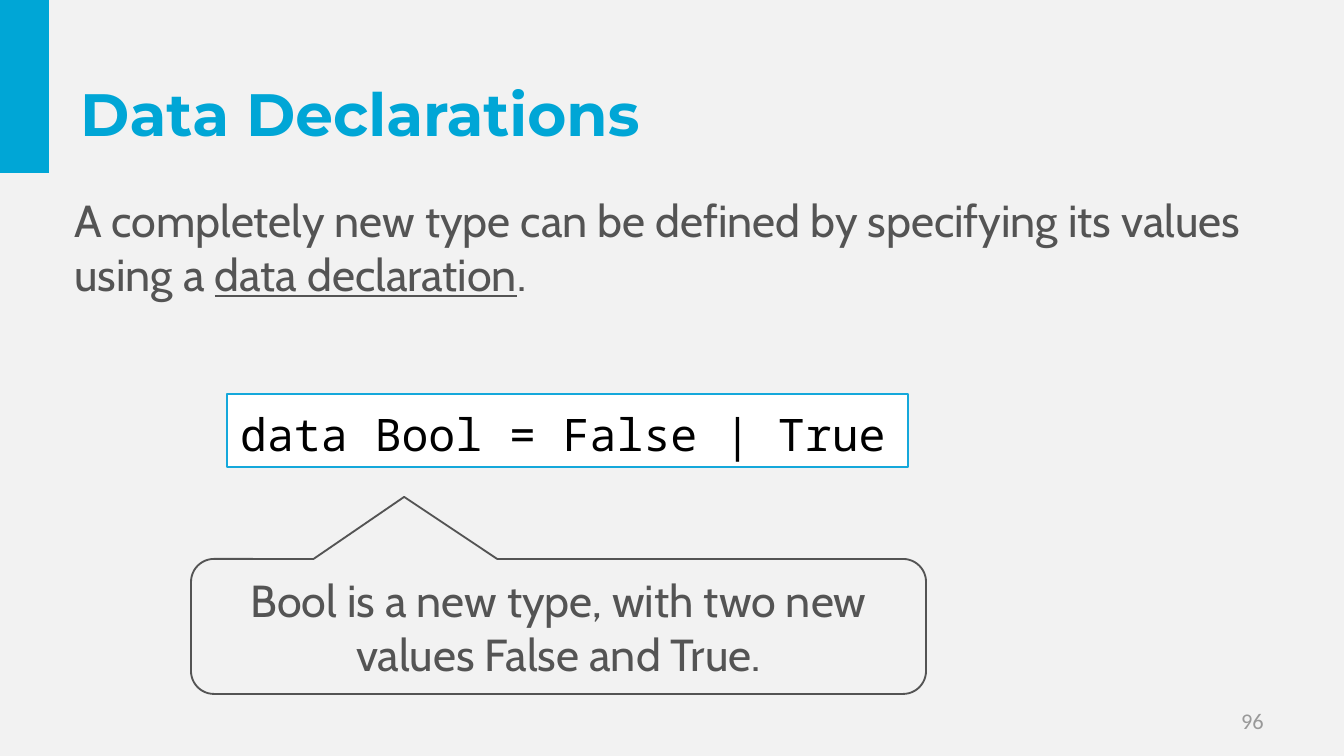
from dataclasses import dataclass

from pptx import Presentation
from pptx.dml.color import RGBColor
from pptx.enum.shapes import MSO_SHAPE as Shape
from pptx.enum.text import MSO_ANCHOR as Anchor, PP_ALIGN as Align
from pptx.util import Emu, Pt

EMU_PER_PX = 914400 / 134.4


def px(length):
    return Emu(round(length * EMU_PER_PX))


@dataclass(frozen=True)
class Theme:
    background: str = "F2F2F2"
    accent: str = "00A6D6"
    code_border: str = "15A8DB"
    code_fill: str = "FFFFFF"
    code_ink: str = "000000"
    ink: str = "545454"
    muted: str = "999999"
    heading_font: str = "Montserrat"
    body_font: str = "Cabin"
    code_font: str = "Noto Sans Mono"
    number_font: str = "Calibri"
    heading_size: int = 32
    body_size: int = 24
    number_size: int = 12


def write(shape, *parts, font, size, color, bold=False, underlined=None,
          align=Align.LEFT, spacing=None, wrap=True):
    frame = shape.text_frame
    frame.word_wrap = wrap
    frame.vertical_anchor = Anchor.MIDDLE
    paragraph = frame.paragraphs[0]
    paragraph.alignment = align
    paragraph.line_spacing = spacing
    for part in parts:
        run = paragraph.add_run()
        run.text = part
        run.font.name = font
        run.font.size = Pt(size)
        run.font.bold = bold
        run.font.underline = part == underlined
        run.font.color.rgb = RGBColor.from_string(color)


class SlideBuilder:
    def __init__(self, slide, theme):
        self.slide = slide
        self.theme = theme
        backdrop = slide.background.fill
        backdrop.solid()
        backdrop.fore_color.rgb = RGBColor.from_string(theme.background)

    def text(self, box, *parts, **style):
        label = self.slide.shapes.add_textbox(*map(px, box))
        write(label, *parts, **style)

    def shape(self, kind, box, fill=None, line=None, width=1):
        panel = self.slide.shapes.add_shape(kind, *map(px, box))
        panel.shadow.inherit = False
        if fill:
            panel.fill.solid()
            panel.fill.fore_color.rgb = RGBColor.from_string(fill)
        else:
            panel.fill.background()
        if line:
            panel.line.color.rgb = RGBColor.from_string(line)
            panel.line.width = Pt(width)
        else:
            panel.line.fill.background()
        return panel

    def code(self, box, source):
        theme = self.theme
        panel = self.shape(Shape.RECTANGLE, box, theme.code_fill, theme.code_border, 0.75)
        write(panel, source, font=theme.code_font, size=theme.body_size,
              color=theme.code_ink, spacing=1.1, wrap=False)

    def callout(self, box, remark, pointer):
        theme = self.theme
        bubble = self.shape(Shape.ROUNDED_RECTANGULAR_CALLOUT, box, line=theme.ink)
        for index, value in enumerate((*pointer, 0.17)):
            bubble.adjustments[index] = value
        write(bubble, remark, font=theme.body_font, size=theme.body_size,
              color=theme.ink, align=Align.CENTER)


def main():
    deck = Presentation()
    deck.slide_width, deck.slide_height = px(1344), px(756)
    theme = Theme()
    page = SlideBuilder(deck.slides.add_slide(deck.slide_layouts[6]), theme)

    page.shape(Shape.RECTANGLE, (0, 0, 49, 173), theme.accent)
    page.text((964, 701, 313, 40), "96", font=theme.number_font,
              size=theme.number_size, color=theme.muted, align=Align.RIGHT)
    page.text((67, 31, 1210, 164), "Data Declarations", font=theme.heading_font,
              size=theme.heading_size, color=theme.accent, bold=True)
    page.text((61, 186, 1234, 122),
              "A completely new type can be defined by specifying its values using a ",
              "data declaration", ".", underlined="data declaration",
              font=theme.body_font, size=theme.body_size, color=theme.ink)
    page.code((227, 394, 681, 73), "data Bool = False | True")
    page.callout((191, 559, 735, 135),
                 "Bool is a new type, with two new values False and True.",
                 pointer=(-0.21, -0.96))

    deck.save("out.pptx")


if __name__ == "__main__":
    main()
